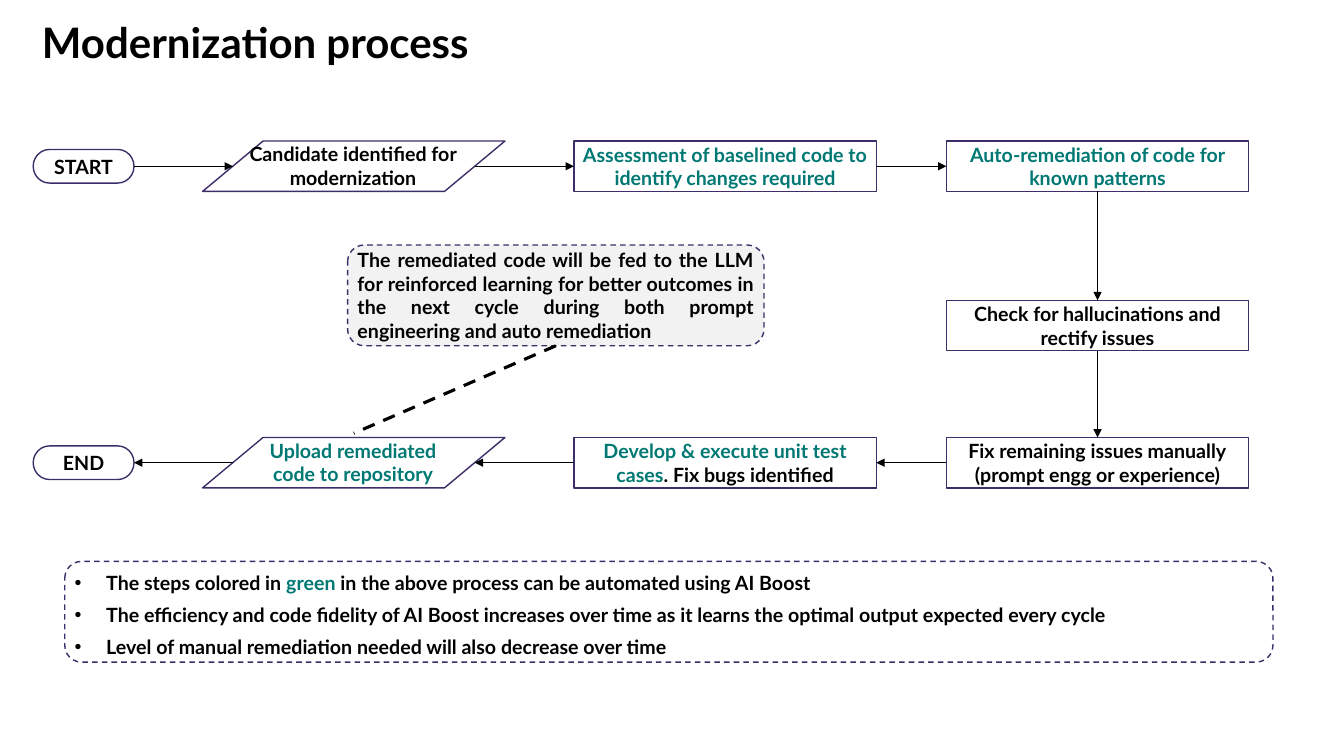
"""Build the slide that charts the code modernization process."""
from dataclasses import dataclass

from lxml import etree
from pptx import Presentation
from pptx.dml.color import RGBColor
from pptx.enum.dml import MSO_LINE
from pptx.enum.shapes import MSO_CONNECTOR, MSO_SHAPE
from pptx.enum.text import MSO_ANCHOR, PP_ALIGN
from pptx.oxml.ns import qn
from pptx.shapes.autoshape import Shape
from pptx.shapes.shapetree import SlideShapes
from pptx.util import Pt

STEP = MSO_SHAPE.FLOWCHART_PROCESS
DATA = MSO_SHAPE.FLOWCHART_DATA
PILL = MSO_SHAPE.FLOWCHART_TERMINATOR
ROUND = MSO_SHAPE.ROUNDED_RECTANGLE
LINE = MSO_CONNECTOR.STRAIGHT
DASH = MSO_LINE.DASH
TOP, MIDDLE = MSO_ANCHOR.TOP, MSO_ANCHOR.MIDDLE
LEFT, CENTER, FULL = PP_ALIGN.LEFT, PP_ALIGN.CENTER, PP_ALIGN.JUSTIFY


@dataclass(frozen=True)
class Theme:
    """Hold the colours and type sizes."""
    font: str = "Lato"
    ink: str = "000000"
    green: str = "007873"
    edge: str = "3D2E69"
    shade: str = "F2F2F2"
    title: float = 30
    body: float = 14


THEME = Theme()


@dataclass(frozen=True)
class Part:
    """Describe a stretch of text in one colour."""
    text: str
    tint: str = THEME.ink


Lines = tuple[tuple[Part, ...], ...]


@dataclass(frozen=True)
class Box:
    """Describe a shape, or a plain text box when it has no kind."""
    kind: MSO_SHAPE | None
    x: float
    y: float
    w: float
    h: float
    lines: Lines = ()
    fill: str | None = None
    dashed: bool = False
    align: PP_ALIGN = CENTER
    anchor: MSO_ANCHOR = MIDDLE
    pad: tuple[float, float] = (3.6, 3.6)
    size: float = THEME.body
    space: float = 1
    listed: bool = False


@dataclass(frozen=True)
class Link:
    """Describe a line, which ends in an arrow unless dashed."""
    x1: float
    y1: float
    x2: float
    y2: float
    width: float = 1
    dashed: bool = False


def say(text: str, tint: str = THEME.ink) -> Lines:
    """Wrap one line of text in one colour."""
    return ((Part(text, tint),),)


def write(shape: Shape, box: Box) -> None:
    """Fill a shape with the text of its box."""
    frame = shape.text_frame
    frame.word_wrap = True
    frame.vertical_anchor = box.anchor
    frame.margin_left, frame.margin_right = map(Pt, box.pad)
    frame.margin_top = frame.margin_bottom = Pt(3.6)
    for index, parts in enumerate(box.lines):
        para = frame.add_paragraph() if index else frame.paragraphs[0]
        if box.listed:
            props = para._p.get_or_add_pPr()
            props.set("marL", str(Pt(22.5)))
            props.set("indent", str(-Pt(22.5)))
            etree.SubElement(props, qn("a:buFont")).set("typeface", "Arial")
            etree.SubElement(props, qn("a:buChar")).set("char", "•")
            para.space_after = Pt(6)
        para.alignment = box.align
        para.line_spacing = box.space
        para.font.name = THEME.font
        para.font.size = Pt(box.size)
        para.font.bold = True
        shared = len({part.tint for part in parts}) == 1
        if shared:
            para.font.color.rgb = RGBColor.from_string(parts[0].tint)
        for part in parts:
            run = para.add_run()
            run.text = part.text
            if not shared:
                run.font.color.rgb = RGBColor.from_string(part.tint)


def place(shapes: SlideShapes, box: Box) -> None:
    """Draw a box with its text."""
    spot = [Pt(size) for size in (box.x, box.y, box.w, box.h)]
    if box.kind is None:
        shape = shapes.add_textbox(*spot)
    else:
        shape = shapes.add_shape(box.kind, *spot)
        shape.shadow.inherit = False
        if box.fill:
            shape.fill.solid()
            shape.fill.fore_color.rgb = RGBColor.from_string(box.fill)
        else:
            shape.fill.background()
        shape.line.color.rgb = RGBColor.from_string(THEME.edge)
        shape.line.width = Pt(1)
        if box.dashed:
            shape.line.dash_style = DASH
    if box.lines:
        write(shape, box)


def join(shapes: SlideShapes, link: Link) -> None:
    """Draw a line or an arrow."""
    ends = [Pt(size) for size in (link.x1, link.y1, link.x2, link.y2)]
    line = shapes.add_connector(LINE, *ends)
    line.line.color.rgb = RGBColor.from_string(THEME.ink)
    line.line.width = Pt(link.width)
    props = line._element.spPr
    if link.dashed:
        line.line.dash_style = DASH
    else:
        etree.SubElement(props.find(qn("a:ln")), qn("a:tailEnd")).set("type", "triangle")
    etree.SubElement(props, qn("a:effectLst"))


WIDE, HIGH = 216, 36
PILL_W, PILL_H = 72, 24
COLS = (23.75, 144.75, 410, 676)
ROWS = (100.75, 214.5, 312.5)
MIDS = tuple(row + HIGH / 2 for row in ROWS)
SLANT = WIDE / 10
SPINE = COLS[3] + WIDE / 2


def step(col: int, row: int, lines: Lines) -> Box:
    """Set a process step on the grid."""
    return Box(STEP, COLS[col], ROWS[row], WIDE, HIGH, lines)


def pill(row: int, text: str) -> Box:
    """Set a start or end mark on the grid."""
    return Box(PILL, COLS[0], MIDS[row] - PILL_H / 2, PILL_W, PILL_H, say(text))


def data(row: int, lines: Lines) -> tuple[Box, Box]:
    """Set a slanted step and its label on the grid."""
    return (Box(DATA, COLS[1], ROWS[row], WIDE, HIGH),
            Box(None, COLS[1] + 32.5, ROWS[row] - 2.75, 150, 41, lines,
                anchor=TOP, pad=(0, 0)))


BOXES = (
    Box(None, 30, 12, 797, 40, say("Modernization process"), align=LEFT,
        pad=(0, 7.2), size=THEME.title, space=0.9),
    pill(0, "START"),
    *data(0, say("Candidate identified for modernization")),
    step(2, 0, say("Assessment of baselined code to identify changes required", THEME.green)),
    step(3, 0, say("Auto-remediation of code for known patterns", THEME.green)),
    step(3, 1, say("Check for hallucinations and rectify issues")),
    step(3, 2, say("Fix remaining issues manually") + say("(prompt engg or experience)")),
    step(2, 2, ((Part("Develop & execute unit test cases", THEME.green),
                 Part(". Fix bugs identified")),)),
    *data(2, say("Upload remediated code to repository", THEME.green)),
    pill(2, "END"),
    Box(ROUND, 248.25, 175, 297.5, 72, say(
        "The remediated code will be fed to the LLM for reinforced learning for better outcomes "
        "in the next cycle during both prompt engineering and auto remediation"),
        fill=THEME.shade, dashed=True, align=FULL),
    Box(ROUND, 46.25, 401, 863, 72, (
        (Part("The steps colored in "), Part("green", THEME.green),
         Part(" in the above process can be automated using AI Boost")),
        *say("The efficiency and code fidelity of AI Boost increases over time "
             "as it learns the optimal output expected every cycle"),
        *say("Level of manual remediation needed will also decrease over time")),
        dashed=True, align=FULL, anchor=TOP, listed=True),
)

GAPS = ((COLS[0] + PILL_W, COLS[1] + SLANT),
        (COLS[1] + WIDE - SLANT, COLS[2]),
        (COLS[2] + WIDE, COLS[3]))
LINKS = (
    *(Link(left, MIDS[0], right, MIDS[0]) for left, right in GAPS),
    *(Link(SPINE, above + HIGH, SPINE, below) for above, below in zip(ROWS, ROWS[1:])),
    *(Link(right, MIDS[2], left, MIDS[2]) for left, right in reversed(GAPS)),
    Link(397, 247, 252.75, 309.5, width=2.25, dashed=True),
)


def main() -> None:
    """Build and save the slide."""
    deck = Presentation()
    deck.slide_width, deck.slide_height = Pt(960), Pt(540)
    shapes = deck.slides.add_slide(deck.slide_layouts[6]).shapes
    for box in BOXES:
        place(shapes, box)
    for link in LINKS:
        join(shapes, link)
    deck.save("out.pptx")


if __name__ == "__main__":
    main()
